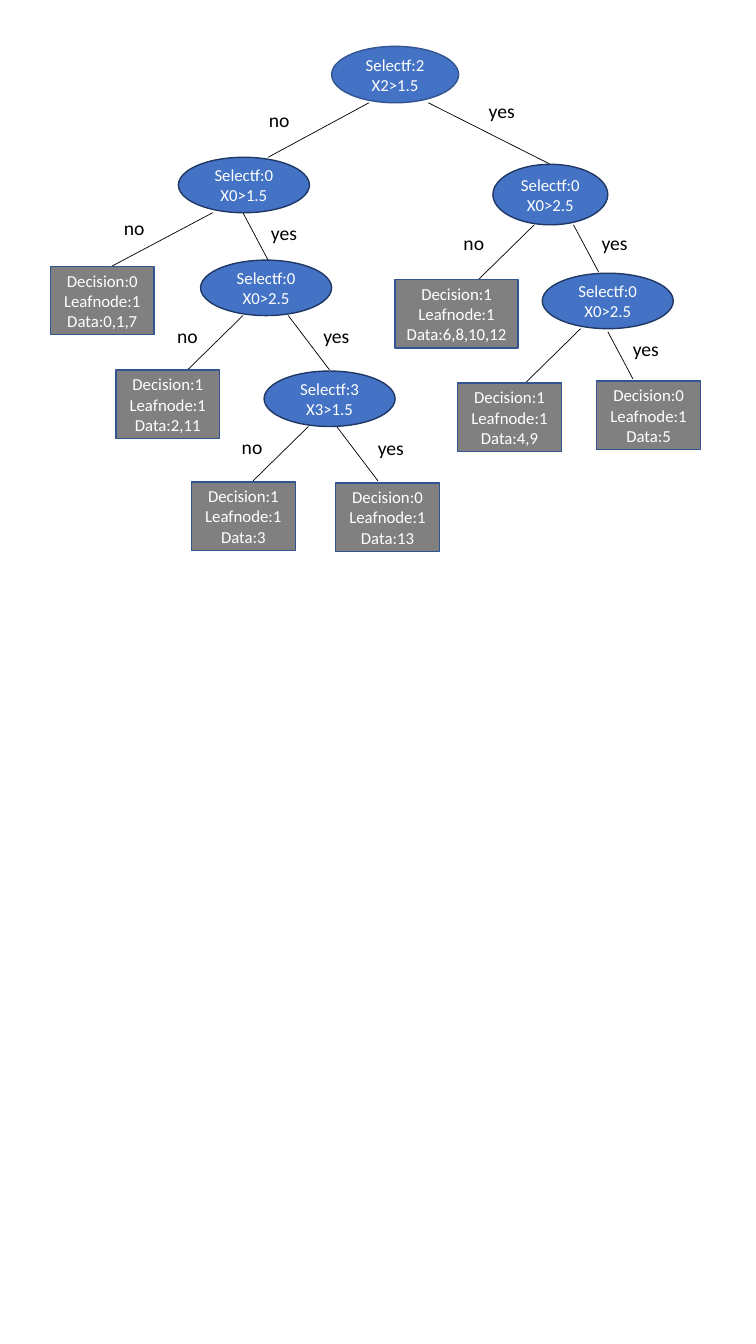
from dataclasses import dataclass

from lxml.etree import SubElement
from pptx import Presentation
from pptx.dml.color import RGBColor as Color
from pptx.enum.shapes import MSO_CONNECTOR as Connector, MSO_SHAPE as Preset
from pptx.enum.text import MSO_ANCHOR as Anchor, MSO_AUTO_SIZE as AutoSize, PP_ALIGN as Align
from pptx.oxml.ns import qn
from pptx.util import Inches, Pt


@dataclass(frozen=True)
class Theme:
    font: str = "Calibri"
    node_size: int = 12
    label_size: int = 14
    split_fill: str = "4472C4"
    split_line: str = "203864"
    accent_line: str = "325491"
    leaf_fill: str = "808080"
    light: str = "FFFFFF"
    dark: str = "000000"
    node_width: float = 1
    branch_width: float = 0.5


THEME = Theme()
COLUMNS, ROWS = 7.5, 13.33
SLIDE_WIDTH, SLIDE_HEIGHT = Inches(COLUMNS), Inches(ROWS)
SPLIT_SIZE = (1.3, 0.55)
LEAF_SIZE = (1.03, 0.68)
LABEL_SIZE = (0.77, 0.34)

ROOT = (3.29, 0.46, 2, "2>1.5", (1.26, 0.56), THEME.accent_line)
SPLITS = [
    (1.77, 1.56, 0, "0>1.5"),
    (4.89, 1.63, 0, "0>2.5", (1.14, 0.6)),
    (1.99, 2.58, 0, "0>2.5"),
    (5.38, 2.71, 0, "0>2.5"),
    (2.62, 3.68, 3, "3>1.5"),
]
LEAVES = [
    (0.5, 2.64, 0, "0,1,7"),
    (3.92, 2.77, 1, "6,8,10,12", (1.22, 0.68)),
    (1.15, 3.67, 1, "2,11"),
    (4.54, 3.8, 1, "4,9"),
    (5.92, 3.78, 0, "5"),
    (1.9, 4.78, 1, "3"),
    (3.33, 4.79, 0, "13"),
]
BRANCHES = [
    ((3.66, 1.02), (2.66, 1.56), "no", (2.57, 1.02)),
    ((4.25, 1.02), (5.46, 1.63), "yes", (4.75, 0.93)),
    ((2.11, 2.11), (1.11, 2.64), "no", (1.13, 2.09)),
    ((2.41, 2.11), (2.66, 2.58), "yes", (2.59, 2.14)),
    ((5.3, 2.23), (4.75, 2.77), "no", (4.5, 2.24)),
    ((5.69, 2.23), (5.94, 2.7), "yes", (5.87, 2.24)),
    ((2.41, 3.13), (1.86, 3.67), "no", (1.66, 3.16)),
    ((2.86, 3.13), (3.27, 3.67), "yes", (3.11, 3.16)),
    ((5.76, 3.26), (5.21, 3.8), None, None),
    ((6.03, 3.29), (6.28, 3.76), "yes", (6.18, 3.29)),
    ((3.06, 4.23), (2.51, 4.77), "no", (2.3, 4.26)),
    ((3.34, 4.23), (3.75, 4.77), "yes", (3.65, 4.27)),
]


def on_grid(column, row):
    return round(SLIDE_WIDTH * column / COLUMNS), round(SLIDE_HEIGHT * row / ROWS)


def write_lines(frame, lines, size, color, align):
    frame.word_wrap = True
    frame.text = "\n".join(lines)
    for paragraph in frame.paragraphs:
        paragraph.alignment = align
        paragraph.font.name = THEME.font
        paragraph.font.size = Pt(size)
        paragraph.font.color.rgb = Color.from_string(color)


def add_node(slide, preset, position, size, lines, fill, line):
    shape = slide.shapes.add_shape(preset, *on_grid(*position), *on_grid(*size))
    shape.shadow.inherit = False
    shape.fill.solid()
    shape.fill.fore_color.rgb = Color.from_string(fill)
    shape.line.color.rgb = Color.from_string(line)
    shape.line.width = Pt(THEME.node_width)
    shape.text_frame.vertical_anchor = Anchor.MIDDLE
    write_lines(shape.text_frame, lines, THEME.node_size, THEME.light, Align.CENTER)


def add_split(slide, left, top, feature, test, size=SPLIT_SIZE, line=THEME.split_line):
    lines = [f"Selectf:{feature}", f"X{test}"]
    add_node(slide, Preset.OVAL, (left, top), size, lines, THEME.split_fill, line)


def add_leaf(slide, left, top, decision, data, size=LEAF_SIZE):
    lines = [f"Decision:{decision}", "Leafnode:1", f"Data:{data}"]
    add_node(slide, Preset.RECTANGLE, (left, top), size, lines,
             THEME.leaf_fill, THEME.accent_line)


def add_label(slide, position, text):
    box = slide.shapes.add_textbox(*on_grid(*position), *on_grid(*LABEL_SIZE))
    write_lines(box.text_frame, [text], THEME.label_size, THEME.dark, Align.LEFT)
    box.text_frame.auto_size = AutoSize.SHAPE_TO_FIT_TEXT


def add_branch(slide, start, end, answer, label_position):
    branch = slide.shapes.add_connector(Connector.STRAIGHT, *on_grid(*start), *on_grid(*end))
    branch.line.color.rgb = Color.from_string(THEME.dark)
    branch.line.width = Pt(THEME.branch_width)
    SubElement(branch._element.spPr, qn("a:effectLst"))
    if answer:
        add_label(slide, label_position, answer)


def main():
    presentation = Presentation()
    presentation.slide_width, presentation.slide_height = SLIDE_WIDTH, SLIDE_HEIGHT
    slide = presentation.slides.add_slide(presentation.slide_layouts[6])
    for branch in BRANCHES:
        add_branch(slide, *branch)
    for split in [ROOT, *SPLITS]:
        add_split(slide, *split)
    for leaf in LEAVES:
        add_leaf(slide, *leaf)
    presentation.save("out.pptx")


main()
